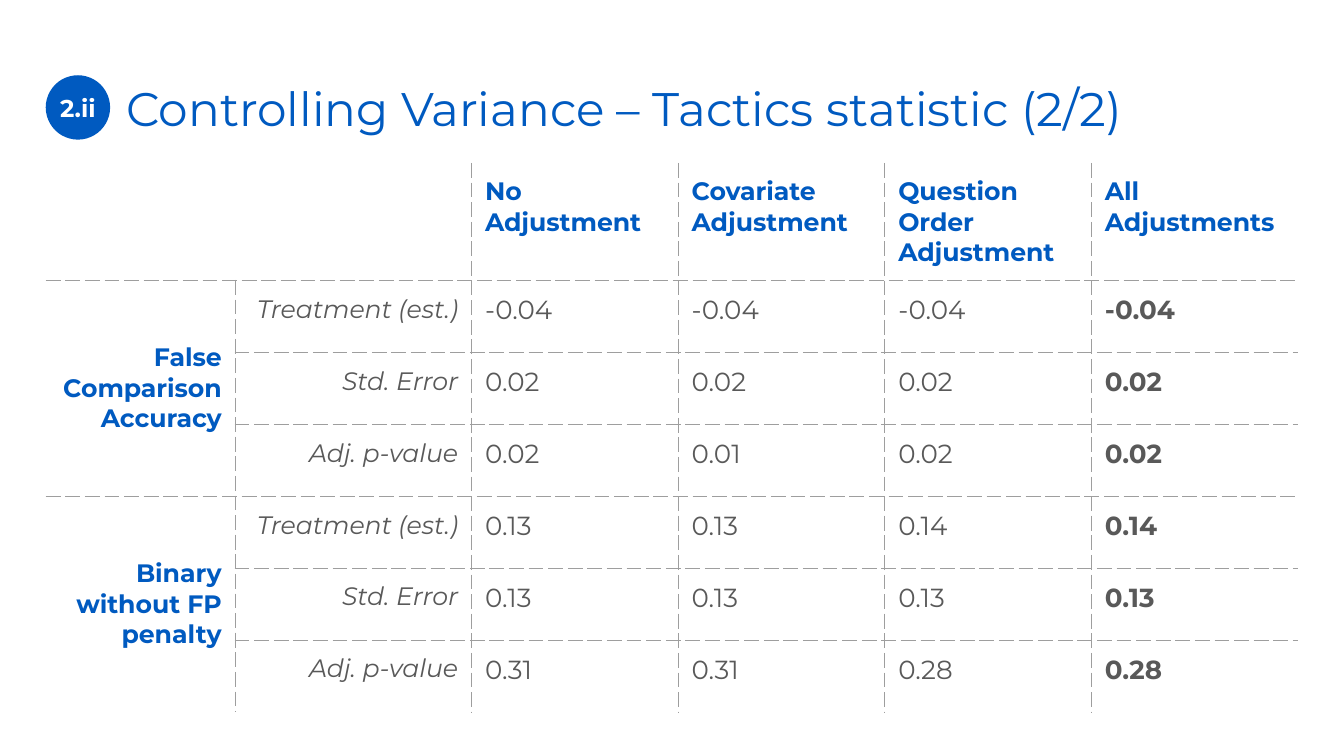
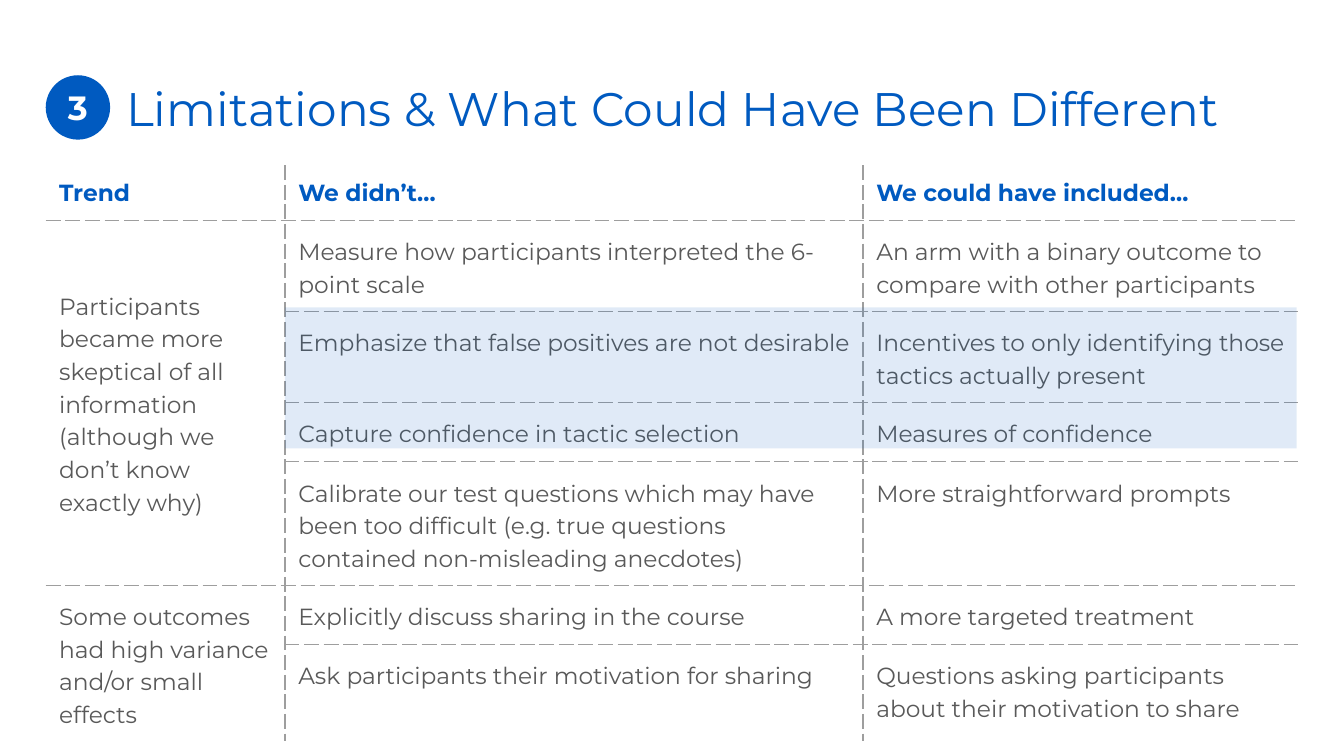
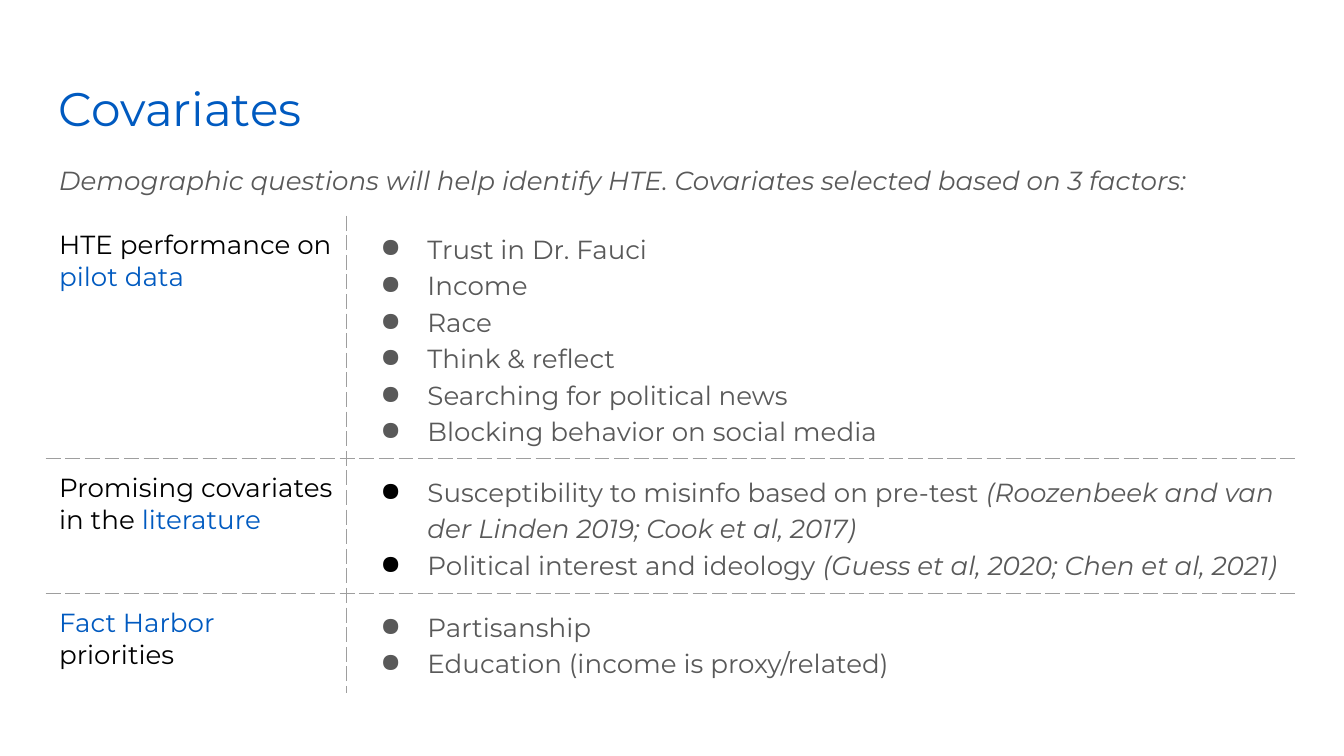
from dataclasses import dataclass

from lxml import etree
from pptx import Presentation
from pptx.dml.color import RGBColor
from pptx.enum.shapes import MSO_SHAPE
from pptx.enum.text import MSO_ANCHOR, PP_ALIGN
from pptx.oxml.ns import qn
from pptx.slide import Slide
from pptx.table import Table, _Cell
from pptx.text.text import TextFrame
from pptx.util import Pt

ELLIPSE, RECTANGLE = MSO_SHAPE.OVAL, MSO_SHAPE.RECTANGLE
LEFT, CENTER, RIGHT = PP_ALIGN.LEFT, PP_ALIGN.CENTER, PP_ALIGN.RIGHT
TOP, MIDDLE = MSO_ANCHOR.TOP, MSO_ANCHOR.MIDDLE


@dataclass(frozen=True)
class Theme:
    font: str = "Montserrat"
    blue: str = "005AC0"
    gray: str = "595959"
    black: str = "000000"
    white: str = "FFFFFF"
    rule: str = "9E9E9E"
    title_size: float = 25.2
    body_size: float = 14
    label_size: float = 13.5
    compact_size: float = 12.5
    rule_width: float = 0.75
    inset: float = 7.2
    left: float = 24.5
    width: float = 671
    loose: float = 1.15
    after: float = 12


THEME = Theme()


@dataclass(frozen=True)
class Span:
    text: str
    color: str = THEME.gray
    size: float = THEME.body_size
    bold: bool = False
    italic: bool = False


@dataclass(frozen=True)
class Para:
    spans: tuple[Span, ...]
    align: PP_ALIGN = LEFT
    line_spacing: float | None = None
    space_after: float | None = None
    indent: float = 0
    hanging: float = 0
    bullet_color: str | None = None


@dataclass(frozen=True)
class Entry:
    """The content of one table cell."""
    paras: tuple[Para, ...]
    anchor: MSO_ANCHOR = TOP


@dataclass(frozen=True)
class Grid:
    top: float
    columns: tuple[float, ...]
    rows: tuple[float, ...]
    entries: list[list[Entry | None]]
    merged_rows: tuple[tuple[int, int], ...] = ()
    open_corner: bool = False


def write_text(frame: TextFrame, paras: tuple[Para, ...]) -> None:
    for index, para in enumerate(paras):
        paragraph = frame.paragraphs[0] if index == 0 else frame.add_paragraph()
        paragraph.alignment = para.align
        properties = paragraph._p.get_or_add_pPr()
        properties.set("marL", str(Pt(para.indent)))
        properties.set("indent", str(Pt(para.hanging)))
        if para.bullet_color:
            color = etree.SubElement(properties, qn("a:buClr"))
            etree.SubElement(color, qn("a:srgbClr"), val=para.bullet_color)
            etree.SubElement(properties, qn("a:buChar"), char="●")
        if para.line_spacing:
            paragraph.line_spacing = para.line_spacing
        if para.space_after:
            paragraph.space_after = Pt(para.space_after)
        for span in para.spans:
            run = paragraph.add_run()
            run.text = span.text
            run.font.name = THEME.font
            run.font.size = Pt(span.size)
            run.font.bold = span.bold
            run.font.italic = span.italic
            run.font.color.rgb = RGBColor.from_string(span.color)


def add_text(page: Slide, top: float, height: float, para: Para) -> None:
    box = page.shapes.add_textbox(Pt(THEME.left), Pt(top), Pt(THEME.width), Pt(height))
    frame = box.text_frame
    frame.word_wrap = True
    frame.margin_left = frame.margin_right = Pt(THEME.inset)
    frame.margin_top = frame.margin_bottom = Pt(THEME.inset)
    write_text(frame, (para,))


def add_title(page: Slide, text: str, indent: float = 0) -> None:
    span = Span(text, THEME.blue, THEME.title_size)
    add_text(page, 35.3, 45.4, Para((span,), indent=indent))


def add_badge(page: Slide, label: str, size: float) -> None:
    badge = page.shapes.add_shape(ELLIPSE, Pt(THEME.left), Pt(40.3), Pt(34.5), Pt(34.5))
    badge.shadow.inherit = False
    badge.fill.solid()
    badge.fill.fore_color.rgb = RGBColor.from_string(THEME.blue)
    badge.line.fill.background()
    frame = badge.text_frame
    frame.margin_left = frame.margin_right = frame.margin_top = frame.margin_bottom = 0
    frame.vertical_anchor = MIDDLE
    frame.word_wrap = False
    write_text(frame, (Para((Span(label, THEME.white, size, bold=True),), CENTER),))


def add_highlight(page: Slide, left: float, top: float, width: float, height: float) -> None:
    band = page.shapes.add_shape(RECTANGLE, Pt(left), Pt(top), Pt(width), Pt(height))
    band.shadow.inherit = False
    band.fill.solid()
    band.fill.fore_color.rgb = RGBColor.from_string(THEME.blue)
    band.line.fill.background()
    color = next(band.element.spPr.iter(qn("a:srgbClr")))
    etree.SubElement(color, qn("a:alpha"), val="12000")


def add_border(cell: _Cell, side: str, visible: bool) -> None:
    properties = cell._tc.get_or_add_tcPr()
    line = etree.SubElement(properties, qn(f"a:ln{side}"), w=str(Pt(THEME.rule_width)))
    if not visible:
        etree.SubElement(line, qn("a:noFill"))
        return
    fill = etree.SubElement(line, qn("a:solidFill"))
    etree.SubElement(fill, qn("a:srgbClr"), val=THEME.rule)
    etree.SubElement(line, qn("a:prstDash"), val="dash")


def rule_cell(table: Table, grid: Grid, row: int, column: int) -> None:
    """Draw dashed rules between cells, and none around the table or inside a merged cell."""
    cell = table.cell(row, column)
    below = row + (cell.span_height if cell.is_merge_origin else 1)
    corner = grid.open_corner and row == 0
    add_border(cell, "L", column > 0 and not (corner and column == 1))
    add_border(cell, "R", column < len(grid.columns) - 1 and not (corner and column == 0))
    add_border(cell, "T", row > 0 and not cell.is_spanned)
    add_border(cell, "B", below < len(grid.rows) and not table.cell(below, column).is_spanned)


def add_grid(page: Slide, grid: Grid) -> None:
    frame = page.shapes.add_table(
        len(grid.rows), len(grid.columns),
        Pt(THEME.left), Pt(grid.top), Pt(sum(grid.columns)), Pt(sum(grid.rows)))
    table = frame.table
    table.first_row = table.horz_banding = False
    for column, width in zip(table.columns, grid.columns):
        column.width = Pt(width)
    for row, height in zip(table.rows, grid.rows):
        row.height = Pt(height)
    for first, last in grid.merged_rows:
        table.cell(first, 0).merge(table.cell(last, 0))
    for row, entries in enumerate(grid.entries):
        for column, entry in enumerate(entries):
            cell = table.cell(row, column)
            rule_cell(table, grid, row, column)
            cell.fill.background()
            if entry is None:
                continue
            cell.margin_left = cell.margin_right = Pt(THEME.inset)
            cell.margin_top = cell.margin_bottom = Pt(THEME.inset)
            cell.vertical_anchor = entry.anchor
            write_text(cell.text_frame, entry.paras)


def heading(text: str, size: float, align: PP_ALIGN = LEFT, anchor: MSO_ANCHOR = TOP) -> Entry:
    return Entry((Para((Span(text, THEME.blue, size, bold=True),), align),), anchor)


def measure(text: str) -> Entry:
    return Entry((Para((Span(text, size=THEME.label_size, italic=True),), RIGHT),))


def number(text: str, bold: bool) -> Entry:
    return Entry((Para((Span(text, bold=bold),)),))


def note(text: str, anchor: MSO_ANCHOR = TOP) -> Entry:
    span = Span(text, size=THEME.compact_size)
    return Entry((Para((span,), line_spacing=THEME.loose, space_after=THEME.after),), anchor)


def factor(*parts: tuple[str, str]) -> Entry:
    return Entry((Para(tuple(Span(text, color) for text, color in parts)),))


def bullets(items: list[tuple[str, ...]], color: str = THEME.gray) -> Entry:
    """List items, each a text that an italic citation may follow."""
    return Entry(tuple(
        Para(tuple(Span(text, italic=index > 0) for index, text in enumerate(item)),
             line_spacing=THEME.loose, indent=36, hanging=-25.2, bullet_color=color)
        for item in items))


def build_variance(page: Slide) -> None:
    adjustments = ("No Adjustment", "Covariate Adjustment",
                   "Question Order Adjustment", "All Adjustments")
    measures = ("Treatment (est.)", "Std. Error", "Adj. p-value")
    outcomes = {
        "False Comparison Accuracy": (
            ("-0.04", "-0.04", "-0.04", "-0.04"),
            ("0.02", "0.02", "0.02", "0.02"),
            ("0.02", "0.01", "0.02", "0.02")),
        "Binary without FP penalty": (
            ("0.13", "0.13", "0.14", "0.14"),
            ("0.13", "0.13", "0.13", "0.13"),
            ("0.31", "0.31", "0.28", "0.28")),
    }
    entries = [[None, None] + [heading(name, THEME.label_size) for name in adjustments]]
    for outcome, results in outcomes.items():
        for index, (name, values) in enumerate(zip(measures, results)):
            label = heading(outcome, THEME.label_size, RIGHT, MIDDLE) if index == 0 else None
            numbers = [number(value, bold=column == len(values) - 1)
                       for column, value in enumerate(values)]
            entries.append([label, measure(name)] + numbers)
    add_title(page, "Controlling Variance – Tactics statistic (2/2)", indent=36)
    add_badge(page, "2.ii", 13)
    add_grid(page, Grid(87.3, (101.5, 126.7) + (110.7,) * 4, (39.6,) + (38.57,) * 6,
                        entries, ((1, 3), (4, 6)), open_corner=True))


def build_limitations(page: Slide) -> None:
    headings = ("Trend", "We didn’t…", "We could have included…")
    skeptical = ("Participants became more skeptical of all information "
                 "(although we don’t know exactly why)")
    variance = "Some outcomes had high variance and/or small effects"
    gaps = (
        ("Measure how participants interpreted the 6-point scale",
         "An arm with a binary outcome to compare with other participants"),
        ("Emphasize that false positives are not desirable",
         "Incentives to only identifying those tactics actually present"),
        ("Capture confidence in tactic selection", "Measures of confidence"),
        ("Calibrate our test questions which may have been too difficult "
         "(e.g. true questions contained non-misleading anecdotes)",
         "More straightforward prompts"),
        ("Explicitly discuss sharing in the course", "A more targeted treatment"),
        ("Ask participants their motivation for sharing",
         "Questions asking participants about their motivation to share"),
    )
    trends = {0: note(skeptical, MIDDLE), 4: note(variance)}
    entries = [[heading(text, THEME.compact_size) for text in headings]]
    entries += [[trends.get(index), note(missing), note(remedy)]
                for index, (missing, remedy) in enumerate(gaps)]
    add_title(page, "Limitations & What Could Have Been Different", indent=36)
    add_badge(page, "3", 18)
    add_grid(page, Grid(88.5, (128.2, 309.6, 233.2), (23, 37.4, 37.4, 23, 65.5, 23, 49.7),
                        entries, ((1, 4), (5, 6))))
    add_highlight(page, 152.6, 164.7, 542, 75.6)


def build_covariates(page: Slide) -> None:
    pilot = [("Trust in Dr. Fauci",), ("Income",), ("Race",), ("Think & reflect",),
             ("Searching for political news",), ("Blocking behavior on social media",)]
    literature = [
        ("Susceptibility to misinfo based on pre-test ",
         "(Roozenbeek and van der Linden 2019; Cook et al, 2017)"),
        ("Political interest and ideology ", "(Guess et al, 2020; Chen et al, 2021)"),
    ]
    priorities = [("Partisanship",), ("Education (income is proxy/related)",)]
    entries = [
        [factor(("HTE performance on ", THEME.black), ("pilot data", THEME.blue)),
         bullets(pilot)],
        [factor(("Promising covariates in the ", THEME.black), ("literature", THEME.blue)),
         bullets(literature, THEME.black)],
        [factor(("Fact Harbor", THEME.blue), (" priorities", THEME.black)),
         bullets(priorities)],
    ]
    intro = Span("Demographic questions will help identify HTE. "
                 "Covariates selected based on 3 factors:", italic=True)
    add_title(page, "Covariates")
    add_text(page, 78.5, 56.9,
             Para((intro,), line_spacing=THEME.loose, space_after=THEME.after))
    add_grid(page, Grid(115.5, (161.3, 509.7), (99.4, 69.1, 47.5), entries))


def main() -> None:
    deck = Presentation()
    deck.slide_width, deck.slide_height = Pt(720), Pt(405)
    blank = deck.slide_layouts[6]
    for build in (build_variance, build_limitations, build_covariates):
        build(deck.slides.add_slide(blank))
    deck.save("out.pptx")


if __name__ == "__main__":
    main()
